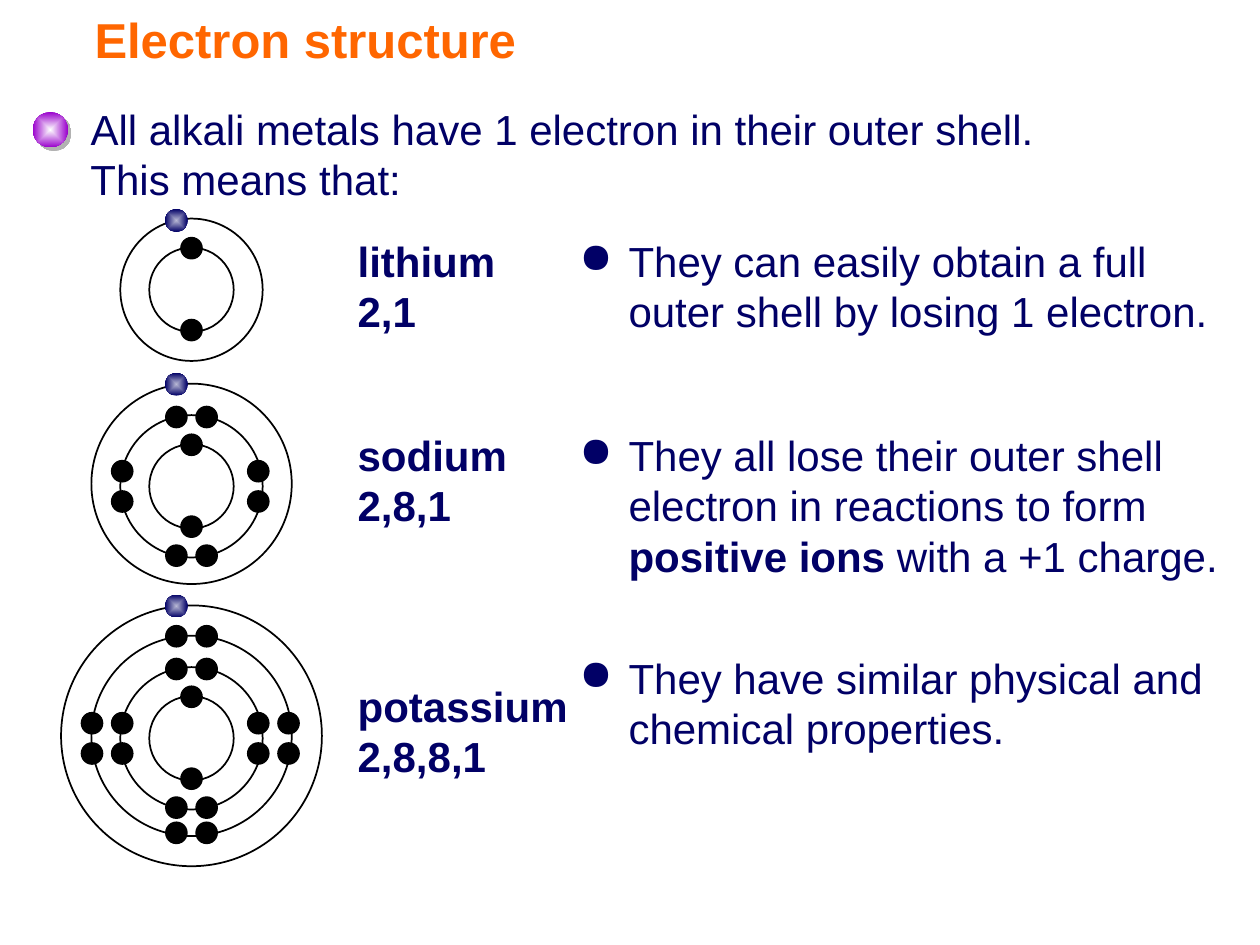
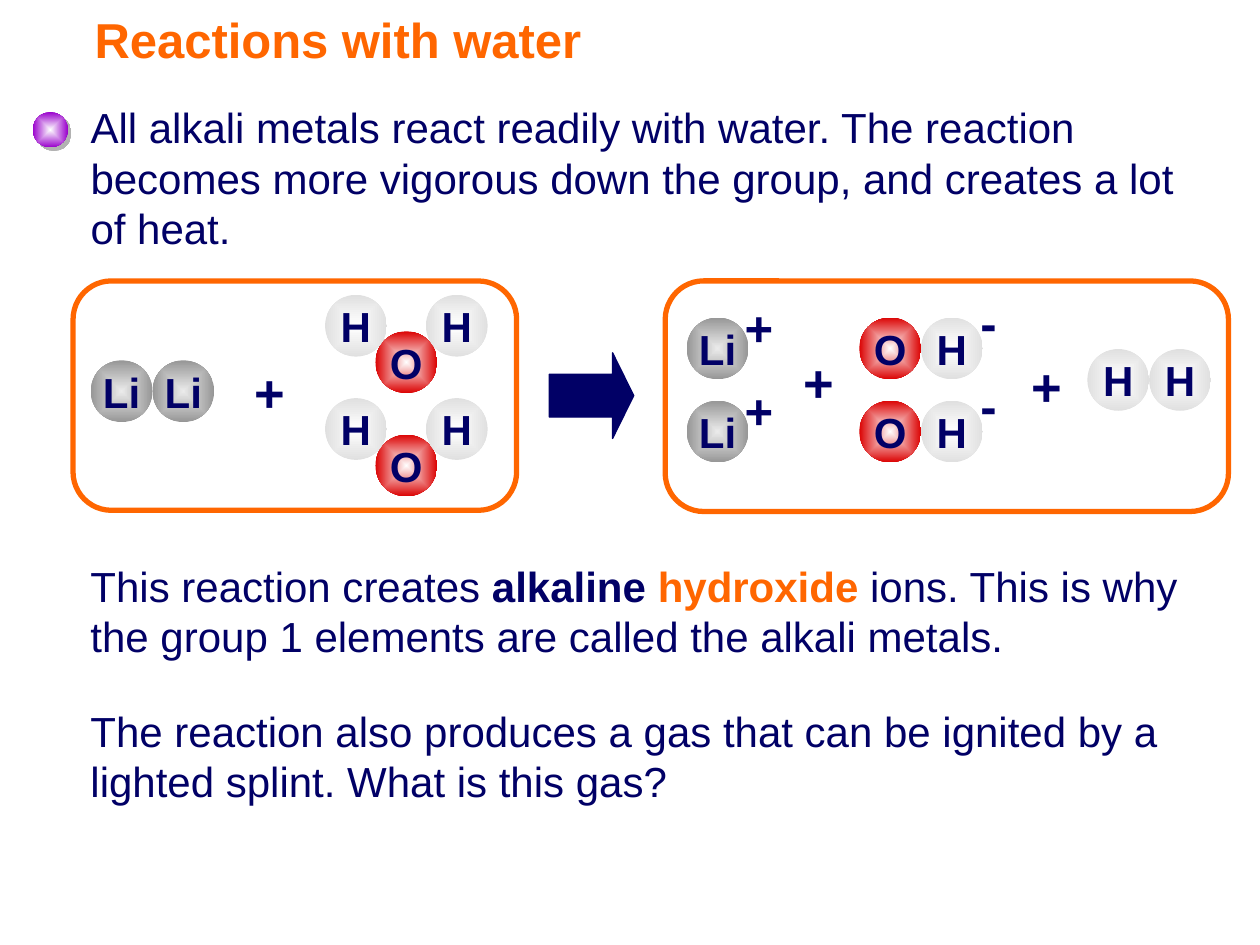
from collections import namedtuple
from dataclasses import dataclass

from lxml.etree import SubElement
from pptx import Presentation
from pptx.dml.color import RGBColor
from pptx.enum.shapes import MSO_SHAPE
from pptx.enum.text import MSO_ANCHOR, MSO_AUTO_SIZE, PP_ALIGN
from pptx.oxml.ns import qn
from pptx.util import Inches, Pt


@dataclass(frozen=True)
class Theme:
    font: str = "Arial"
    navy: str = "010066"
    orange: str = "FF6600"
    black: str = "000000"
    white: str = "FFFFFF"
    shadow: str = "B2B2B2"
    # Radial fills: centre colour, edge colour
    marker: tuple = ("FFFFFF", "9900CC")
    outer_electron: tuple = ("B9B9D5", "010066")
    title_size: int = 28
    body_size: int = 24
    charge_size: int = 28
    plus_size: int = 30


THEME = Theme()
Box = namedtuple("Box", "left top width height")
Shell = namedtuple("Shell", "diameter lift top bottom side")

ELEMENT_FILLS = {
    "Li": ("EBEBEB", "969696"),
    "O": ("FFFFFF", "DB0303"),
    "H": ("FFFFFF", "E0E0E0"),
}

# Electron distances are measured from the nucleus
SHELLS = [
    Shell(0.67, 0, 0.33, 0.32, 0),
    Shell(1.13, 0, 0.55, 0.55, 0.54),
    Shell(1.59, 0.02, 0.81, 0.75, 0.78),
    Shell(2.07, 0.02, 1.05, 0, 0),
]
ELECTRON = 0.18
PAIR = 0.12
BALL = 0.49


# ---------- Shared helpers ----------

def style(font, size, color=THEME.navy, bold=False):
    font.name = THEME.font
    font.size = Pt(size)
    font.bold = bold
    font.color.rgb = RGBColor.from_string(color)


def place(shape, box):
    shape.left, shape.top, shape.width, shape.height = map(Inches, box)


def add_text(shapes, box, lines, size=THEME.body_size, bold=False, inset=None, bullet=False):
    """Each line is a string, or a list of (text, colour, bold) pieces."""
    frame = shapes.add_textbox(*map(Inches, box)).text_frame
    frame.word_wrap = True
    if inset is not None:
        frame.margin_left = frame.margin_right = Inches(inset)
        frame.margin_top = frame.margin_bottom = Inches(inset)
    for index, line in enumerate(lines):
        paragraph = frame.add_paragraph() if index else frame.paragraphs[0]
        if bullet:
            add_bullet(paragraph)
        if isinstance(line, str):
            paragraph.text = line
            style(paragraph.font, size, bold=bold)
        else:
            for text, color, emphasis in line:
                run = paragraph.add_run()
                run.text = text
                style(run.font, size, color, emphasis)


def add_bullet(paragraph, indent=0.39):
    properties = paragraph._p.get_or_add_pPr()
    properties.set("marL", str(Inches(indent)))
    properties.set("indent", str(-Inches(indent)))
    SubElement(properties, qn("a:buChar"), {"char": "●"})


def fill_radial(shape, colors):
    shape.fill.gradient()
    for stop, color in zip(shape.fill.gradient_stops, colors):
        stop.color.rgb = RGBColor.from_string(color)
    gradient = shape._element.spPr.find(qn("a:gradFill"))
    gradient.remove(gradient.find(qn("a:lin")))
    radial = SubElement(gradient, qn("a:path"), {"path": "shape"})
    SubElement(radial, qn("a:fillToRect"), dict.fromkeys("ltrb", "50000"))


def add_figure(shapes, kind, box, fill=None, line=None, line_width=1):
    """Fill is a colour, a (centre, edge) pair, or None for hollow."""
    figure = shapes.add_shape(kind, *map(Inches, box))
    figure.shadow.inherit = False
    if fill is None:
        figure.fill.background()
    elif isinstance(fill, tuple):
        fill_radial(figure, fill)
    else:
        figure.fill.solid()
        figure.fill.fore_color.rgb = RGBColor.from_string(fill)
    if line:
        figure.line.color.rgb = RGBColor.from_string(line)
        figure.line.width = Pt(line_width)
    else:
        figure.line.fill.background()
    return figure


def add_disc(shapes, x, y, diameter, fill, line=None):
    box = Box(x - diameter / 2, y - diameter / 2, diameter, diameter)
    return add_figure(shapes, MSO_SHAPE.OVAL, box, fill, line)


def add_titled_slide(deck, heading):
    slide = deck.slides.add_slide(deck.slide_layouts[5])
    title = slide.shapes.title
    place(title, Box(0, 0.02, 8.54, 0.57))
    title.text = heading
    frame = title.text_frame
    frame.auto_size = MSO_AUTO_SIZE.NONE
    frame.vertical_anchor = MSO_ANCHOR.MIDDLE
    frame.margin_left = Inches(0.75)
    paragraph = frame.paragraphs[0]
    paragraph.alignment = PP_ALIGN.LEFT
    style(paragraph.font, THEME.title_size, THEME.orange, bold=True)

    # Purple marker beside the opening statement
    marker = add_disc(slide.shapes, 0.4, 1.03, 0.28, THEME.marker)
    effects = marker._element.spPr.find(qn("a:effectLst"))
    shadow = SubElement(effects, qn("a:outerShdw"),
                        {"blurRad": "0", "dist": str(Pt(2.8)), "dir": str(45 * 60000)})
    SubElement(shadow, qn("a:srgbClr"), {"val": THEME.shadow})
    return slide


# ---------- Electron structure ----------

def electron_offsets(shell, count):
    """Offsets from the nucleus: a vertical couple, or four pairs."""
    if count == 2:
        return [(0, -shell.top), (0, shell.bottom)]
    upright = [(x, y) for y in (-shell.top, shell.bottom) for x in (-PAIR, PAIR)]
    sideways = [(x - 0.01, y) for x in (-shell.side, shell.side) for y in (-PAIR, PAIR)]
    return upright + sideways


def add_atom(slide, x, y, electrons):
    shapes = slide.shapes.add_group_shape().shapes
    occupied = list(zip(SHELLS, electrons))
    for shell, _ in reversed(occupied):
        add_disc(shapes, x, y - shell.lift, shell.diameter, THEME.white, THEME.black)
    for shell, count in occupied[:-1]:
        for dx, dy in electron_offsets(shell, count):
            add_disc(shapes, x + dx, y + dy, ELECTRON, THEME.black)
    outer = occupied[-1][0]
    add_disc(shapes, x - PAIR, y - outer.top, ELECTRON, THEME.outer_electron)


def build_electron_structure(deck):
    slide = add_titled_slide(deck, "Electron structure")
    add_text(slide.shapes, Box(0.62, 0.77, 8.01, 0.5),
             ["All alkali metals have 1 electron in their outer shell."])
    add_text(slide.shapes, Box(0.62, 1.17, 3, 0.5), ["This means that:"])

    # Name, electrons per shell, nucleus height, label top
    metals = [
        ("lithium", (2, 1), 2.3, 1.82),
        ("sodium", (2, 8, 1), 3.86, 3.36),
        ("potassium", (2, 8, 8, 1), 5.86, 5.35),
    ]
    for name, electrons, nucleus_y, label_top in metals:
        add_atom(slide, 1.52, nucleus_y, electrons)
        add_text(slide.shapes, Box(2.74, label_top, 1.88, 0.9),
                 [name, ",".join(map(str, electrons))], bold=True)

    consequences = [
        (1.82, "They can easily obtain a full outer shell by losing 1 electron."),
        (3.36, [("They all lose their outer shell electron in reactions to form ", THEME.navy, False),
                ("positive ions", THEME.navy, True),
                (" with a +1 charge.", THEME.navy, False)]),
        (5.13, "They have similar physical and chemical properties."),
    ]
    for top, consequence in consequences:
        add_text(slide.shapes, Box(4.5, top, 5.5, 0.9), [consequence], bullet=True)


# ---------- Reactions with water ----------

def add_particle(slide, left, top, atoms, charge=None):
    """Atoms are (symbol, dx, dy); charge is (sign, dx, dy)."""
    shapes = slide.shapes.add_group_shape().shapes
    for symbol, dx, dy in atoms:
        ball = add_figure(shapes, MSO_SHAPE.OVAL, Box(left + dx, top + dy, BALL, BALL),
                          ELEMENT_FILLS[symbol])
        frame = ball.text_frame
        frame.word_wrap = False
        frame.vertical_anchor = MSO_ANCHOR.MIDDLE
        paragraph = frame.paragraphs[0]
        paragraph.text = symbol
        paragraph.alignment = PP_ALIGN.CENTER
        style(paragraph.font, THEME.body_size, bold=True)
    if charge:
        sign, dx, dy = charge
        add_text(shapes, Box(left + dx, top + dy, 0.28, 0.47), [sign],
                 THEME.charge_size, bold=True, inset=0)


def add_plus(slide, left, top):
    add_text(slide.shapes, Box(left, top, 0.44, 0.6), ["+"], THEME.plus_size, bold=True)


def add_frame(slide, box):
    add_figure(slide.shapes, MSO_SHAPE.ROUNDED_RECTANGLE, box, line=THEME.orange, line_width=3)


def add_reactants(slide, box):
    lithium_pair = [("Li", 0, 0), ("Li", BALL, 0)]
    water = [("O", 0.4, 0.29), ("H", 0, 0), ("H", 0.8, 0)]
    add_particle(slide, box.left + 0.14, box.top + 0.63, lithium_pair)
    for row in range(2):
        add_particle(slide, box.left + 2, box.top + 0.11 + row * 0.82, water)
    add_frame(slide, box)
    add_plus(slide, box.left + 1.34, box.top + 0.58)


def add_products(slide, box):
    for row in range(2):
        top = box.top + 0.29 + row * 0.66
        add_particle(slide, box.left + 0.17, top, [("Li", 0, 0)], ("+", 0.46, -0.16))
        add_particle(slide, box.left + 1.54, top, [("O", 0, 0), ("H", BALL, 0)],
                     ("-", 0.96, -0.2))
    add_particle(slide, box.left + 3.35, box.top + 0.54, [("H", 0, 0), ("H", BALL, 0)])
    add_frame(slide, box)
    add_plus(slide, box.left + 1, box.top + 0.5)
    add_plus(slide, box.left + 2.81, box.top + 0.53)


def build_water_reaction(deck):
    slide = add_titled_slide(deck, "Reactions with water")
    add_text(slide.shapes, Box(0.62, 0.76, 9.02, 1.3),
             ["All alkali metals react readily with water. The reaction becomes more "
              "vigorous down the group, and creates a lot of heat."])

    # Equation
    add_reactants(slide, Box(0.58, 2.23, 3.52, 1.82))
    arrow = add_figure(slide.shapes, MSO_SHAPE.RIGHT_ARROW, Box(4.36, 2.8, 0.67, 0.68),
                       THEME.navy, THEME.navy, 0.75)
    arrow.adjustments[1] = 0.25
    add_products(slide, Box(5.28, 2.23, 4.47, 1.83))

    # Explanation
    add_text(slide.shapes, Box(0.62, 4.4, 9.1, 0.9),
             [[("This reaction creates ", THEME.navy, False),
               ("alkaline ", THEME.navy, True),
               ("hydroxide", THEME.orange, True),
               (" ions. This is why the group 1 elements are called the alkali metals.",
                THEME.navy, False)]])
    add_text(slide.shapes, Box(0.62, 5.55, 9.07, 0.9),
             ["The reaction also produces a gas that can be ignited by a lighted splint. "
              "What is this gas?"])


def main():
    deck = Presentation()
    deck.slide_width, deck.slide_height = Inches(10), Inches(7.5)
    build_electron_structure(deck)
    build_water_reaction(deck)
    deck.save("out.pptx")


if __name__ == "__main__":
    main()
